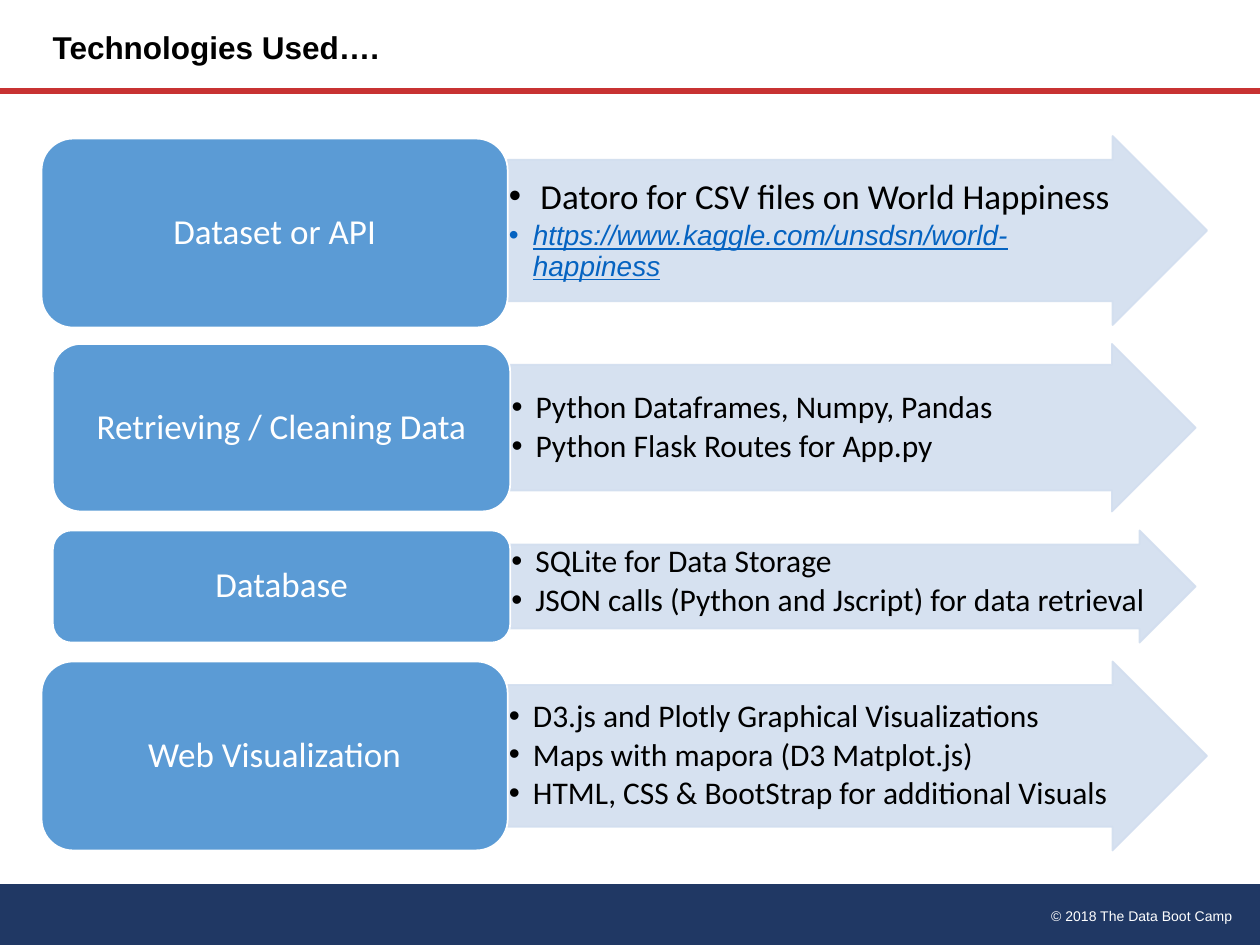
import pptx
import pptx.util
import pptx.dml.color
import pptx.enum.shapes
import pptx.enum.text
import pptx.oxml
import pptx.oxml.ns
from pptx.util import Inches

SHAPE = pptx.enum.shapes.MSO_SHAPE
ALIGN = pptx.enum.text.PP_ALIGN
ANCHOR = pptx.enum.text.MSO_ANCHOR

BLUE = "5B9BD5"
PALE = "D2DEEF"
NAVY = "203864"
RED = "C83232"
LINK = "0563C1"
WHITE = "FFFFFF"
BLACK = "000000"


def rgb(value):
    return pptx.dml.color.RGBColor.from_string(value)


def add_element(parent, tag, **attributes):
    child = pptx.oxml.parse_xml(f"<a:{tag} {pptx.oxml.ns.nsdecls('a')}/>")
    for name, value in attributes.items():
        child.set(name, value)
    parent.append(child)
    return child


def set_alpha(sp, percent):
    for color in sp._element.spPr.iter(pptx.oxml.ns.qn("a:srgbClr")):
        add_element(color, "alpha", val=str(percent * 1000))


def add_block(s, kind, left, top, width, height, fill, line=None):
    sp = s.shapes.add_shape(kind, Inches(left), Inches(top), Inches(width), Inches(height))
    sp.shadow.inherit = False
    sp.fill.solid()
    sp.fill.fore_color.rgb = rgb(fill)
    if line:
        sp.line.color.rgb = rgb(line)
        sp.line.width = pptx.util.Pt(1)
    else:
        sp.line.fill.background()
    return sp


def set_frame(tf, anchor, inset_x, inset_y):
    tf.word_wrap = True
    tf.vertical_anchor = anchor
    tf.margin_left = tf.margin_right = Inches(inset_x)
    tf.margin_top = tf.margin_bottom = Inches(inset_y)


def add_frame(s, left, top, width, height, anchor, inset_x, inset_y):
    sp = s.shapes.add_textbox(Inches(left), Inches(top), Inches(width), Inches(height))
    set_frame(sp.text_frame, anchor, inset_x, inset_y)
    return sp.text_frame


def add_run(p, text, size, color, font="Calibri", bold=False, italic=False, underline=False):
    r = p.add_run()
    r.text = text
    r.font.name = font
    r.font.size = pptx.util.Pt(size)
    r.font.color.rgb = rgb(color)
    r.font.bold = bold
    r.font.italic = italic
    r.font.underline = underline


def add_text(s, left, top, width, height, text, size, color, align, bold=False):
    tf = add_frame(s, left, top, width, height, ANCHOR.TOP, 0.1, 0.05)
    p = tf.paragraphs[0]
    p.alignment = align
    add_run(p, text, size, color, "Arial", bold)


def add_rule(s, y):
    line = s.shapes.add_connector(
        pptx.enum.shapes.MSO_CONNECTOR.STRAIGHT, 0, Inches(y), Inches(10), Inches(y))
    line.line.color.rgb = rgb(RED)
    line.line.width = pptx.util.Pt(3.25)
    add_element(line._element.spPr, "effectLst")


def add_bullet(p, text, size, indent=0.19, color=BLACK, **style):
    pPr = p._p.get_or_add_pPr()
    pPr.set("marL", str(Inches(indent)))
    pPr.set("indent", str(-Inches(indent)))
    p.alignment = ALIGN.LEFT
    p.line_spacing = 0.9
    p.space_after = pptx.util.Pt(round(size * 0.15, 1))
    add_element(pPr, "buFont", typeface="Arial")
    add_element(pPr, "buChar", char="•")
    add_run(p, text, size, color, **style)


def add_arrow(s, left, top, width, height, items, anchor):
    sp = add_block(s, SHAPE.RIGHT_ARROW, left, top, width, height, PALE, PALE)
    sp.adjustments[0] = 0.75
    sp.adjustments[1] = 0.5
    set_alpha(sp, 90)
    tf = add_frame(s, left, top + height / 8, width - height * 3 / 8, height * 3 / 4,
                   anchor, 0.01, 0.01)
    for i, item in enumerate(items):
        p = tf.add_paragraph() if i else tf.paragraphs[0]
        add_bullet(p, **item)


def add_label(s, left, top, width, height, text):
    sp = add_block(s, SHAPE.ROUNDED_RECTANGLE, left, top, width, height, BLUE, WHITE)
    set_frame(sp.text_frame, ANCHOR.MIDDLE, 0.08, 0.04)
    p = sp.text_frame.paragraphs[0]
    p.alignment = ALIGN.CENTER
    p.line_spacing = 0.9
    add_run(p, text, 20, WHITE)


def add_row(s, label, items, left, split, top, height, label_top=None, anchor=ANCHOR.MIDDLE):
    right = 9.91 - left
    add_arrow(s, split, top, right - split, height, items, anchor)
    add_label(s, left, label_top or top, split - left, height, label)


def plain(*texts):
    return [{"text": text, "size": 18} for text in texts]


def main():
    prs = pptx.Presentation()
    prs.slide_width, prs.slide_height = Inches(10), Inches(7.5)
    s = prs.slides.add_slide(prs.slide_layouts[6])

    add_block(s, SHAPE.FLOWCHART_PROCESS, 0, 7.02, 10.01, 0.5, NAVY)
    add_text(s, 6.83, 7.15, 3.05, 0.24, "© 2018 The Data Boot Camp", 8, WHITE, ALIGN.RIGHT)
    add_rule(s, 0.72)
    add_text(s, 0.32, 0.17, 9, 0.75, "Technologies Used….", 18, BLACK, ALIGN.LEFT, True)

    wide = {"left": 0.33, "split": 4.03, "height": 1.5}
    narrow = {"left": 0.42, "split": 4.05}
    sources = [
        {"text": "Datoro for CSV files on World Happiness", "size": 20, "indent": 0.25},
        {"text": "https://www.kaggle.com/unsdsn/world-happiness", "size": 16,
         "color": LINK, "font": "Arial", "italic": True, "underline": True},
    ]
    add_row(s, "Dataset or API", sources, top=1.08, label_top=1.1, **wide)
    add_row(s, "Retrieving / Cleaning Data",
            plain("Python Dataframes, Numpy, Pandas", "Python Flask Routes for App.py"),
            top=2.73, height=1.33, **narrow)
    add_row(s, "Database",
            plain("SQLite for Data Storage", "JSON calls (Python and Jscript) for data retrieval"),
            top=4.21, height=0.89, anchor=ANCHOR.TOP, **narrow)
    add_row(s, "Web Visualization",
            plain("D3.js and Plotly Graphical Visualizations",
                  "Maps with mapora (D3 Matplot.js)",
                  "HTML, CSS & BootStrap for additional Visuals"),
            top=5.25, **wide)
    prs.save("out.pptx")


if __name__ == "__main__":
    main()
